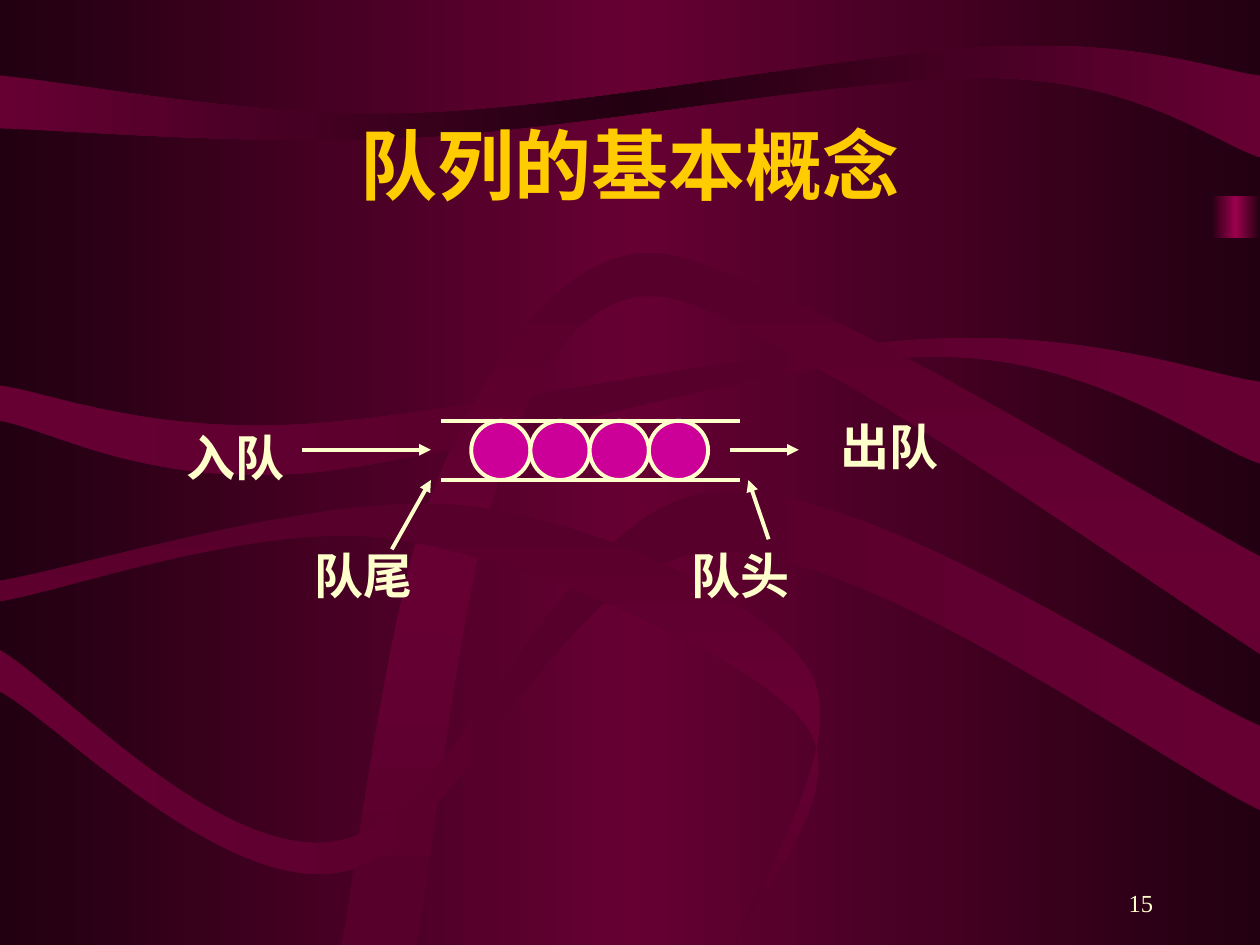
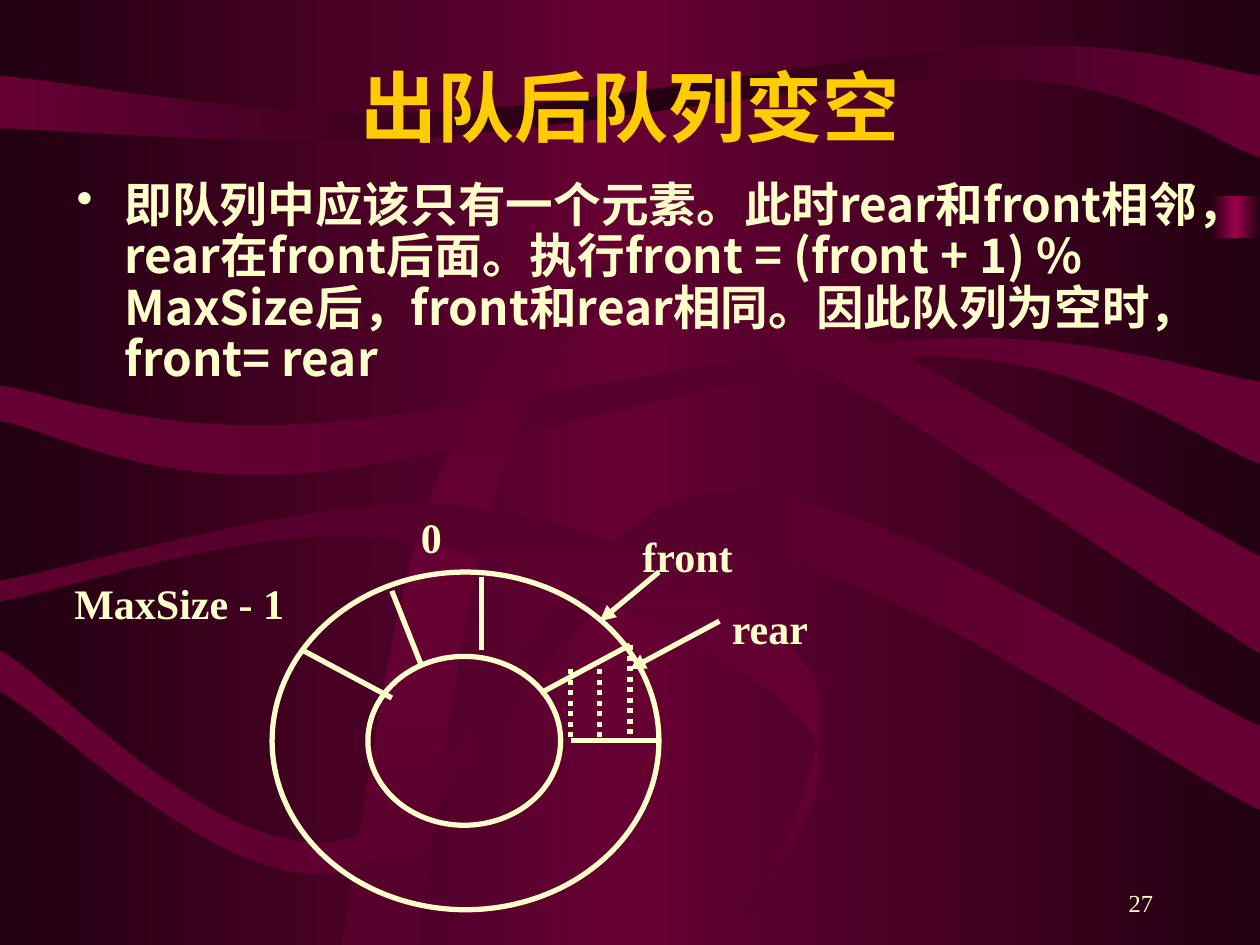
"""Build two slides on queues: the basic concept and a circular queue turning empty."""

from lxml.etree import SubElement
from pptx import Presentation
from pptx.dml.color import RGBColor
from pptx.enum.dml import MSO_LINE
from pptx.enum.shapes import MSO_CONNECTOR, MSO_SHAPE
from pptx.enum.text import MSO_ANCHOR, PP_ALIGN
from pptx.oxml.ns import qn
from pptx.util import Pt

PX = 9144
SERIF = "Times New Roman"
SANS = "Noto Sans CJK SC"
COLORS = {
    "night": "220011",
    "wine": "660033",
    "plum": "56002B",
    "berry": "9C004E",
    "cream": "FFFFCC",
    "gold": "FFCC00",
    "magenta": "CC0099",
}

GLOW_BOX = (961, 156, 39, 33)
TOP_WAVE = [(0, 60, 102), (330, 90, 109), (793, 37, 62), (1000, 60, 125)]
MIDDLE_WAVE = [(0, 306, 334), (235, 337, 376), (740, 269, 283), (1000, 303, 368)]
LOW_WAVE = [(0, 516, 549), (271, 667, 692), (563, 391, 438), (1000, 576, 643)]
ARCH = [((271, 750), (331, 750)), ((340, 400), (390, 400)), ((470, 213), (490, 240)),
        ((635, 242), (659, 298)), ((1000, 442), (1000, 519))]
FOLD = [((0, 461), (0, 477)), ((366, 401), (314, 428)),
        ((642, 532), (637, 572)), ((583, 750), (583, 750))]

LABEL_HEIGHT = 57
CONCEPT = {
    "title": "队列的基本概念",
    "title_top": 67,
    "number": "15",
    "labels": [("出队", 657, 326), ("入队", 138, 334), ("队尾", 240, 428), ("队头", 539, 428)],
    "arrows": [
        (579, 357, 634, 357),
        (240, 357, 342, 357),
        (311, 436, 342, 381),
        (610, 428, 594, 381),
    ],
}
WALL_LEFT, WALL_RIGHT = 350, 587
ELEMENT_COUNT, ELEMENT_LEFT, ELEMENT_TOP, ELEMENT_SIZE = 4, 374, 334, 47

EMPTYING = {
    "title": "出队后队列变空",
    "title_top": 21,
    "number": "27",
    "body": "即队列中应该只有一个元素。此时rear和front相邻，rear在front后面。"
            "执行front = (front + 1) % MaxSize后，front和rear相同。"
            "因此队列为空时，front= rear",
    "pointer_labels": [("front", 500, 416), ("rear", 571, 473)],
    "index_labels": [("MaxSize - 1", 59, 458), ("0", 334, 406)],
    "dividers": [
        (453, 588, 523, 588),
        (429, 550, 500, 512),
        (311, 469, 334, 527),
        (382, 458, 382, 516),
        (240, 516, 311, 554),
    ],
    "hatching": [(453, 531), (476, 531), (500, 512)],
    "arrows": [(571, 493, 500, 531), (523, 454, 476, 493)],
}
RING_BOX = (216, 454, 307, 268)


def rgb(name):
    return RGBColor.from_string(COLORS[name])


def scaled(box):
    return [value * PX for value in box]


def fill_gradient(fill, element, edge, middle, angle=0):
    fill.gradient()
    gradient = next(element.iter(qn("a:gradFill")))
    for child in list(gradient):
        gradient.remove(child)
    stops = SubElement(gradient, qn("a:gsLst"))
    for position, color in ((0, edge), (50000, middle), (100000, edge)):
        stop = SubElement(stops, qn("a:gs"), pos=str(position))
        SubElement(stop, qn("a:srgbClr"), val=COLORS[color])
    SubElement(gradient, qn("a:lin"), ang=str(angle * 60000), scaled="0")


def smooth_curve(knots):
    """Return control points of a smooth curve, three for each knot after the first."""
    padded = [knots[0], *knots, knots[-1]]
    points = []
    for before, start, end, after in zip(padded, padded[1:], padded[2:], padded[3:]):
        points.append([round(s + (e - b) / 6) for b, s, e in zip(before, start, end)])
        points.append([round(e - (a - s) / 6) for s, e, a in zip(start, end, after)])
        points.append(end)
    return points


def add_ribbon(slide, knots, edge, middle, angle=0):
    upper, lower = (list(side) for side in zip(*knots))
    lower.reverse()
    outward, homeward = smooth_curve(upper), smooth_curve(lower)
    builder = slide.shapes.build_freeform(*upper[0], scale=PX)
    builder.add_line_segments([*outward, lower[0], *homeward], close=True)
    shape = builder.convert_to_shape()
    shape.shadow.inherit = False
    shape.line.fill.background()
    fill_gradient(shape.fill, shape._element, edge, middle, angle)
    legs = list(shape._element.iter(qn("a:lnTo")))
    turn = len(outward)
    for side in (legs[:turn], legs[turn + 1:turn + 1 + len(homeward)]):
        for curve, *others in zip(side[::3], side[1::3], side[2::3]):
            curve.tag = qn("a:cubicBezTo")
            for leg in others:
                curve.append(leg[0])
                leg.getparent().remove(leg)


def add_wave(slide, wave, middle):
    knots = [((x, top), (x, bottom)) for x, top, bottom in wave]
    add_ribbon(slide, knots, "wine", middle)


def add_text(slide, text, box, size, color="cream", bold=True, font=SERIF,
             align=PP_ALIGN.LEFT, anchor=MSO_ANCHOR.TOP, inset=True, bullet=False):
    frame = slide.shapes.add_textbox(*scaled(box)).text_frame
    frame.word_wrap = True
    frame.vertical_anchor = anchor
    if not inset:
        frame.margin_left = frame.margin_right = 0
        frame.margin_top = frame.margin_bottom = 0
    paragraph = frame.paragraphs[0]
    paragraph.text = text
    paragraph.alignment = align
    if bullet:
        paragraph.line_spacing = 0.9
        properties = paragraph._p.get_or_add_pPr()
        properties.set("marL", str(38 * PX))
        properties.set("indent", str(-38 * PX))
        bullet_color = SubElement(properties, qn("a:buClr"))
        SubElement(bullet_color, qn("a:srgbClr"), val=COLORS[color])
        SubElement(properties, qn("a:buChar"), char="•")
    paragraph.font.size = Pt(size)
    paragraph.font.bold = bold
    paragraph.font.color.rgb = rgb(color)
    paragraph.font.name = font
    SubElement(paragraph.font._element, qn("a:ea"), typeface=SANS)


def add_line(slide, ends, width, arrow=False, dotted=False):
    connector = slide.shapes.add_connector(MSO_CONNECTOR.STRAIGHT, *scaled(ends))
    connector.line.color.rgb = rgb("cream")
    connector.line.width = Pt(width)
    if dotted:
        connector.line.dash_style = MSO_LINE.ROUND_DOT
    if arrow:
        SubElement(connector.line._get_or_add_ln(), qn("a:tailEnd"), type="triangle")
    SubElement(connector._element.spPr, qn("a:effectLst"))


def add_ellipse(slide, box, width, fill=None):
    ellipse = slide.shapes.add_shape(MSO_SHAPE.OVAL, *scaled(box))
    ellipse.shadow.inherit = False
    ellipse.line.color.rgb = rgb("cream")
    ellipse.line.width = Pt(width)
    if fill:
        ellipse.fill.solid()
        ellipse.fill.fore_color.rgb = rgb(fill)
    else:
        ellipse.fill.background()


def add_base_slide(presentation, content):
    slide = presentation.slides.add_slide(presentation.slide_layouts[6])
    glow = slide.shapes.add_shape(MSO_SHAPE.RECTANGLE, *scaled(GLOW_BOX))
    glow.shadow.inherit = False
    glow.line.fill.background()
    fill_gradient(glow.fill, glow._element, "night", "berry")
    add_wave(slide, TOP_WAVE, "night")
    add_wave(slide, MIDDLE_WAVE, "plum")
    add_ribbon(slide, ARCH, "plum", "wine", 90)
    add_wave(slide, LOW_WAVE, "plum")
    add_ribbon(slide, FOLD, "plum", "wine", 90)
    add_text(slide, content["number"], (717, 683, 208, 50), 14, bold=False,
             align=PP_ALIGN.RIGHT, anchor=MSO_ANCHOR.BOTTOM)
    add_text(slide, content["title"], (75, content["title_top"], 850, 125), 44, "gold",
             align=PP_ALIGN.CENTER, anchor=MSO_ANCHOR.MIDDLE)
    return slide


def build_concept(presentation):
    slide = add_base_slide(presentation, CONCEPT)
    for index in range(ELEMENT_COUNT):
        left = ELEMENT_LEFT + index * ELEMENT_SIZE
        add_ellipse(slide, (left, ELEMENT_TOP, ELEMENT_SIZE, ELEMENT_SIZE), 2.25, "magenta")
    for y in (ELEMENT_TOP, ELEMENT_TOP + ELEMENT_SIZE):
        add_line(slide, (WALL_LEFT, y, WALL_RIGHT, y), 2.25)
    for arrow in CONCEPT["arrows"]:
        add_line(slide, arrow, 2.25, arrow=True)
    for text, left, top in CONCEPT["labels"]:
        add_text(slide, text, (left, top, 120, LABEL_HEIGHT), 28)


def build_emptying(presentation):
    slide = add_base_slide(presentation, EMPTYING)
    add_text(slide, EMPTYING["body"], (51, 139, 921, 244), 27.2, font=SANS, bullet=True)
    left, top, width, height = RING_BOX
    add_ellipse(slide, RING_BOX, 3)
    add_ellipse(slide, (left + width // 4, top + height // 4, width // 2, height // 2), 3)
    for divider in EMPTYING["dividers"]:
        add_line(slide, divider, 3)
    for x, start in EMPTYING["hatching"]:
        add_line(slide, (x, start, x, top + height // 2), 3, dotted=True)
    for arrow in EMPTYING["arrows"]:
        add_line(slide, arrow, 3, arrow=True)
    for text, x, y in EMPTYING["pointer_labels"]:
        add_text(slide, text, (x, y, 118, LABEL_HEIGHT), 24)
    for text, x, y in EMPTYING["index_labels"]:
        add_text(slide, text, (x, y, 181, 38), 24, inset=False)


def main():
    presentation = Presentation()
    presentation.slide_width, presentation.slide_height = scaled((1000, 750))
    master = presentation.slide_master
    fill_gradient(master.background.fill, master._element, "night", "wine")
    build_concept(presentation)
    build_emptying(presentation)
    presentation.save("out.pptx")


if __name__ == "__main__":
    main()
